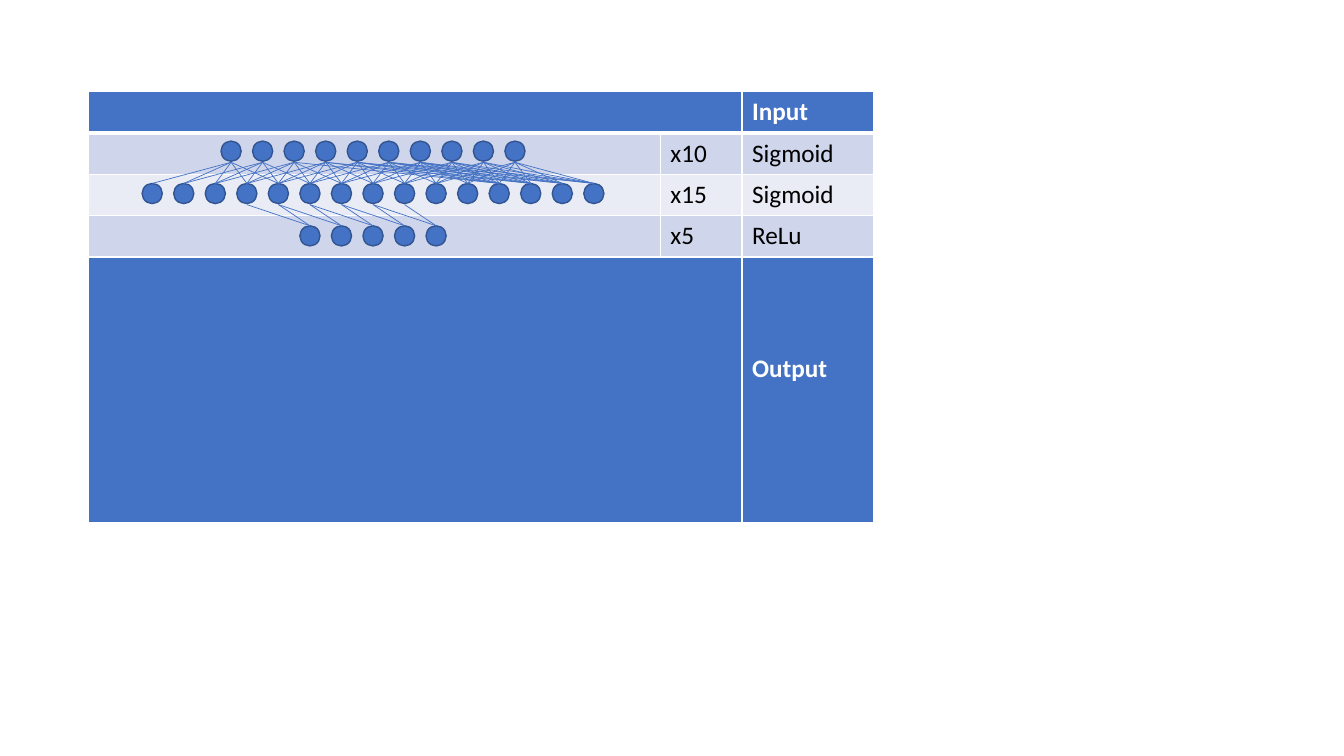
"""Build a slide with a neural network diagram laid over a table of its layers."""
from lxml.etree import SubElement
from pptx import Presentation
from pptx.dml.color import RGBColor
from pptx.enum.shapes import MSO_CONNECTOR, MSO_SHAPE
from pptx.oxml.ns import qn
from pptx.util import Inches, Pt

BLUE, OUTLINE, WHITE, BLACK = "4472C4", "325491", "FFFFFF", "000000"
DARK_BAND, LIGHT_BAND = "CFD5EA", "E9EBF5"


def paint(target, color):
    """Give a fill a solid colour from a hex string."""
    target.solid()
    target.fore_color.rgb = RGBColor.from_string(color)


def add_border(cell, side, points):
    """Draw a white border on one side of a table cell."""
    properties = cell._tc.get_or_add_tcPr()
    border = SubElement(properties, qn(f"a:ln{side}"), w=str(Pt(points)))
    SubElement(SubElement(border, qn("a:solidFill")), qn("a:srgbClr"), val=WHITE)


prs = Presentation()
prs.slide_width, prs.slide_height = Inches(13.33), Inches(7.5)
slide = prs.slides.add_slide(prs.slide_layouts[6])

layer_rows = [
    ("", "Input", BLUE, 0.41),
    ("x10", "Sigmoid", DARK_BAND, 0.41),
    ("x15", "Sigmoid", LIGHT_BAND, 0.41),
    ("x5", "ReLu", DARK_BAND, 0.41),
    ("", "Output", BLUE, 2.64),
]
layers = slide.shapes.add_table(
    len(layer_rows), 3, Inches(0.88), Inches(0.91), Inches(7.79), Inches(4.28)
).table
for column, width in zip(layers.columns, (5.67, 0.81, 1.31)):
    column.width = Inches(width)

for row, (count, label, band, height) in enumerate(layer_rows):
    layers.rows[row].height = Inches(height)
    is_end = band == BLUE
    text_format = {"name": "Calibri", "size": Pt(18), "bold": is_end}
    for column, text in enumerate(("", count, label)):
        cell = layers.cell(row, column)
        for side in "LRTB":
            header_edge = (row, side) in ((0, "B"), (1, "T"))
            add_border(cell, side, 3 if header_edge else 1)
        paint(cell.fill, band)
        cell.text = text
        font = cell.text_frame.paragraphs[0].font
        for name, value in text_format.items():
            setattr(font, name, value)
        paint(font.fill, WHITE if is_end else BLACK)
    if is_end:
        layers.cell(row, 0).merge(layers.cell(row, 1))
layers.cell(4, 2).margin_top = Inches(0.96)

neuron_size, pitch, network_center = 0.2, 4.38 / 14, 3.7
neuron_layers = [(10, 1.4), (15, 1.82), (5, 2.24)]
centers = []
for neuron_count, top in neuron_layers:
    first = network_center - pitch * (neuron_count - 1) / 2
    centers.append([first + pitch * i for i in range(neuron_count)])
    neurons = slide.shapes.add_group_shape()
    for center in centers[-1]:
        neuron = neurons.shapes.add_shape(
            MSO_SHAPE.OVAL, Inches(center - neuron_size / 2), Inches(top),
            Inches(neuron_size), Inches(neuron_size))
        neuron.shadow.inherit = False
        paint(neuron.fill, BLUE)
        paint(neuron.line.fill, OUTLINE)
        neuron.line.width = Pt(1)

near_links = [(0, i, i + step) for i in range(10) for step in range(5)]
far_links = [(0, j - step, j) for j in range(11, 15) for step in range(5, 10)]
output_links = [(1, k + step, k) for k in range(5) for step in (3, 4)]
for layer, start, end in near_links + far_links + output_links:
    link = slide.shapes.add_connector(
        MSO_CONNECTOR.STRAIGHT,
        Inches(centers[layer][start]), Inches(neuron_layers[layer][1] + 0.21),
        Inches(centers[layer + 1][end]), Inches(neuron_layers[layer + 1][1]))
    paint(link.line.fill, BLUE)
    link.line.width = Pt(0.5)
    SubElement(link._element.spPr, qn("a:effectLst"))

prs.save("out.pptx")
